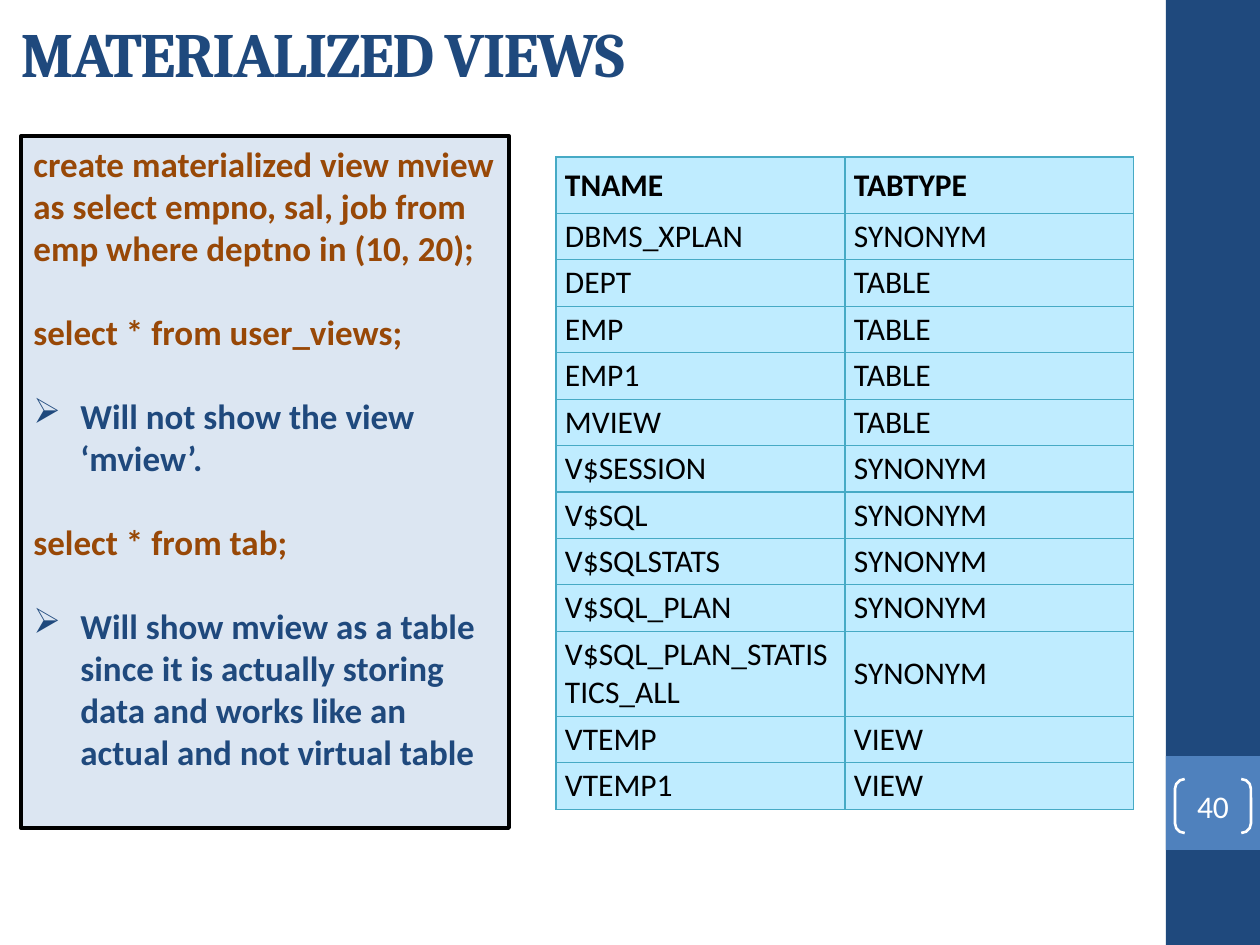
from lxml import etree
from pptx import Presentation
from pptx import util as u
from pptx.dml.color import RGBColor
from pptx.enum import shapes, text
from pptx.oxml.ns import qn

COLOURS = {
    "navy": "1F497D", "blue": "4F81BD", "white": "FFFFFF", "black": "000000",
    "panel": "DCE6F2", "code": "984807", "cell": "BFECFF", "border": "46AAC5",
}
TITLE = "MATERIALIZED VIEWS"
PAGE_NUMBER = "40"
NOTES = [
    ("code", "create materialized view mview as select empno, sal, job from emp where deptno in (10, 20);"),
    ("code", "select * from user_views;"),
    ("bullet", "Will not show the view ‘mview’."),
    ("code", "select * from tab;"),
    ("bullet", "Will show mview as a table since it is actually storing data "
               "and works like an actual and not virtual table"),
]
ROWS = [
    ("TNAME", "TABTYPE"),
    ("DBMS_XPLAN", "SYNONYM"),
    ("DEPT", "TABLE"),
    ("EMP", "TABLE"),
    ("EMP1", "TABLE"),
    ("MVIEW", "TABLE"),
    ("V$SESSION", "SYNONYM"),
    ("V$SQL", "SYNONYM"),
    ("V$SQLSTATS", "SYNONYM"),
    ("V$SQL_PLAN", "SYNONYM"),
    ("V$SQL_PLAN_STATISTICS_ALL", "SYNONYM"),
    ("VTEMP", "VIEW"),
    ("VTEMP1", "VIEW"),
]
HEADER_HEIGHT, ROW_HEIGHT, TALL_HEIGHT = 55, 46, 84
TALL_ROW = 10
COLUMN_WIDTH = 289


def px(length):
    return u.Emu(round(length * 914400 / 126))


def colour(name):
    return RGBColor.from_string(COLOURS[name])


def add_span(para, words, size, tint, bold=False, font="Calibri"):
    span = para.add_run()
    span.text = words
    span.font.name = font
    span.font.size = u.Pt(size)
    span.font.bold = bold
    span.font.color.rgb = colour(tint)
    return span


def add_box(page, kind, place, fill=None, line=None, weight=0):
    box = page.shapes.add_shape(kind, *map(px, place))
    box.shadow.inherit = False
    if fill:
        box.fill.solid()
        box.fill.fore_color.rgb = colour(fill)
    else:
        box.fill.background()
    if line:
        box.line.color.rgb = colour(line)
        box.line.width = u.Pt(weight)
    else:
        box.line.fill.background()
    return box


def set_bullet(para, indent):
    props = para._p.get_or_add_pPr()
    props.set("marL", str(px(indent)))
    props.set("indent", str(-px(indent)))
    etree.SubElement(props, qn("a:buChar")).set("char", "➢")


def set_borders(cell):
    props = cell._tc.get_or_add_tcPr()
    for side in ("a:lnL", "a:lnR", "a:lnT", "a:lnB"):
        edge = etree.SubElement(props, qn(side), w=str(u.Pt(0.75)))
        fill = etree.SubElement(edge, qn("a:solidFill"))
        etree.SubElement(fill, qn("a:srgbClr"), val=COLOURS["border"])


def add_title(page):
    title = page.shapes.title
    title.left, title.top, title.width, title.height = map(px, (8, 10, 1128, 84))
    frame = title.text_frame
    frame.auto_size = text.MSO_AUTO_SIZE.NONE
    frame.vertical_anchor = text.MSO_ANCHOR.MIDDLE
    para = frame.paragraphs[0]
    para.alignment = text.PP_ALIGN.LEFT
    span = add_span(para, TITLE, 36, "navy", True, "Cambria")
    span.font._element.set("spc", "-100")


def add_sidebar(page):
    kinds = shapes.MSO_SHAPE
    add_box(page, kinds.RECTANGLE, (1166, 0, 94, 945), "navy")
    add_box(page, kinds.RECTANGLE, (1166, 756, 94, 94), "blue")
    bracket = add_box(page, kinds.DOUBLE_BRACKET, (1175, 779, 76, 54), None, "white", 1.5)
    bracket.adjustments[0] = 0.18
    frame = bracket.text_frame
    frame.margin_left = frame.margin_right = frame.margin_top = frame.margin_bottom = 0
    frame.vertical_anchor = text.MSO_ANCHOR.MIDDLE
    para = frame.paragraphs[0]
    para.alignment = text.PP_ALIGN.CENTER
    add_span(para, PAGE_NUMBER, 18, "white")


def add_notes_panel(page):
    panel = add_box(page, shapes.MSO_SHAPE.RECTANGLE, (21, 136, 488, 692), "panel", "black", 2.25)
    frame = panel.text_frame
    frame.word_wrap = True
    frame.vertical_anchor = text.MSO_ANCHOR.TOP
    for index, (kind, words) in enumerate(NOTES):
        para = frame.add_paragraph() if index else frame.paragraphs[0]
        para.alignment = text.PP_ALIGN.LEFT
        if index:
            para.space_before = u.Pt(24)
        if kind == "bullet":
            set_bullet(para, 47)
        add_span(para, words, 20, "navy" if kind == "bullet" else "code", True)


def add_listing(page):
    heights = [ROW_HEIGHT] * len(ROWS)
    heights[0], heights[TALL_ROW] = HEADER_HEIGHT, TALL_HEIGHT
    place = (556, 157, 2 * COLUMN_WIDTH, sum(heights))
    table = page.shapes.add_table(len(ROWS), 2, *map(px, place)).table
    table.horz_banding = False
    for column in table.columns:
        column.width = px(COLUMN_WIDTH)
    for index, (row, values) in enumerate(zip(table.rows, ROWS)):
        header = index == 0
        row.height = px(heights[index])
        for cell, value in zip(row.cells, values):
            cell.margin_left = cell.margin_right = px(9)
            cell.margin_top = cell.margin_bottom = px(9 if header else 4)
            cell.vertical_anchor = text.MSO_ANCHOR.BOTTOM if header else text.MSO_ANCHOR.MIDDLE
            set_borders(cell)
            cell.fill.solid()
            cell.fill.fore_color.rgb = colour("cell")
            add_span(cell.text_frame.paragraphs[0], value, 18, "black", header)


def main():
    deck = Presentation()
    deck.slide_width, deck.slide_height = px(1260), px(945)
    page = deck.slides.add_slide(deck.slide_layouts[5])
    add_title(page)
    add_sidebar(page)
    add_notes_panel(page)
    add_listing(page)
    deck.save("out.pptx")


if __name__ == "__main__":
    main()
